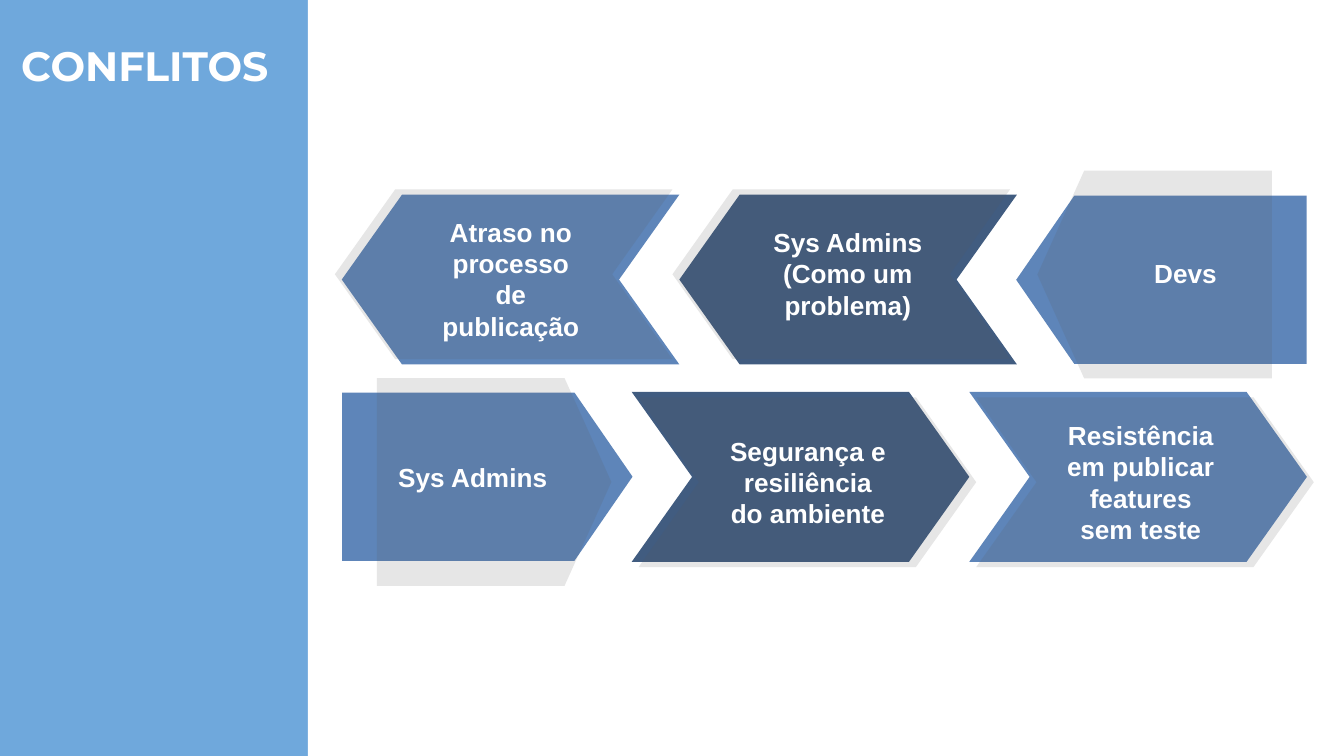
from lxml.etree import SubElement
from pptx import Presentation
from pptx.dml.color import RGBColor
from pptx.enum.shapes import MSO_SHAPE
from pptx.enum.text import MSO_ANCHOR, PP_ALIGN
from pptx.oxml.ns import qn
from pptx.util import Cm, Pt

SKY = RGBColor(0x6F, 0xA8, 0xDC)
WHITE = RGBColor(0xFF, 0xFF, 0xFF)
BLUE = RGBColor(0x5E, 0x85, 0xB9)
NAVY = RGBColor(0x41, 0x5C, 0x80)
GREY = RGBColor(0x59, 0x59, 0x59)

# Lengths in centimetres
MID_X, MID_Y = 15.58, 7.15  # the top row is the bottom row turned around this point
ARROW_W, ARROW_H, NOTCH = 6.38, 3.21, 1.14
START_X, START_Y = 9.21, 9.01  # centre of the first step of the bottom row
CHEVRON_X, CHEVRON_Y = 11.94, 7.41
VEIL_DX, VEIL_DY = 0.13, 0.1

presentation = Presentation()
presentation.slide_width, presentation.slide_height = Cm(25.4), Cm(14.29)
slide = presentation.slides.add_slide(presentation.slide_layouts[6])
slide.background.fill.solid()
slide.background.fill.fore_color.rgb = SKY


def paint(shape, color, alpha=100):
    shape.shadow.inherit = False
    shape.fill.solid()
    shape.fill.fore_color.rgb = color
    shape.line.fill.background()
    if alpha < 100:
        tint = shape.fill._xPr.find(qn("a:solidFill"))[0]
        SubElement(tint, qn("a:alpha"), val=str(alpha * 1000))


def write(text, left, top, width, height, size=14, font="Arial",
          align=PP_ALIGN.CENTER, anchor=MSO_ANCHOR.MIDDLE):
    frame = slide.shapes.add_textbox(Cm(left), Cm(top), Cm(width), Cm(height)).text_frame
    frame.word_wrap = True
    frame.vertical_anchor = anchor
    frame.margin_left = frame.margin_right = Cm(0.25)
    frame.margin_top = frame.margin_bottom = Cm(0.25)
    frame.text = text
    for paragraph in frame.paragraphs:
        paragraph.alignment = align
        paragraph.font.size = Pt(size)
        paragraph.font.name = font
        paragraph.font.bold = True
        paragraph.font.color.rgb = WHITE


# White panel beside the blue band
panel = slide.shapes.add_shape(MSO_SHAPE.RECTANGLE, Cm(5.82), 0, Cm(19.58), Cm(14.29))
paint(panel, WHITE)

# Each row: direction, then label, left, top and width of its texts
rows = [
    (1, [("Sys Admins", 7.26, 8.36, 3.35),
         ("Segurança e resiliência\ndo ambiente", 13.34, 8.46, 3.86),
         ("Resistência em publicar\nfeatures\nsem teste", 19.63, 8.46, 3.86)]),
    (-1, [("Devs", 20.73, 4.52, 3.35),
          ("Sys Admins\n(Como um problema)", 14.35, 4.52, 3.35),
          ("Atraso no processo de publicação", 7.98, 4.62, 3.35)]),
]

for turn, labels in rows:
    # Solid arrows first, then the translucent veil over them
    for shift, colors, alpha, start_w, start_h in [
        (0, (BLUE, NAVY, BLUE), 100, 5.49, 3.18),
        (1, (GREY, GREY, GREY), 15, 4.43, 3.93),
    ]:
        dx, dy = shift * VEIL_DX, shift * VEIL_DY

        # Starting step, an upright connector shape turned on its side
        x = MID_X + turn * (START_X + dx - MID_X)
        y = MID_Y + turn * (START_Y + dy - MID_Y)
        start = slide.shapes.add_shape(
            MSO_SHAPE.FLOWCHART_OFFPAGE_CONNECTOR,
            Cm(x - start_h / 2), Cm(y - start_w / 2), Cm(start_h), Cm(start_w))
        start.rotation = 270 if turn > 0 else 90
        paint(start, colors[0], alpha)

        # Two notched arrows that follow it
        for step in (1, 2):
            left = CHEVRON_X + (step - 1) * ARROW_W + dx
            top = CHEVRON_Y + dy
            outline = [(0, 0), (ARROW_W - NOTCH, 0), (ARROW_W, ARROW_H / 2),
                       (ARROW_W - NOTCH, ARROW_H), (0, ARROW_H), (NOTCH, ARROW_H / 2)]
            points = [(Cm(MID_X + turn * (left + px - MID_X)),
                       Cm(MID_Y + turn * (top + py - MID_Y))) for px, py in outline]
            builder = slide.shapes.build_freeform(*points[0])
            builder.add_line_segments(points[1:], close=True)
            paint(builder.convert_to_shape(), colors[step], alpha)

    for label, left, top, width in labels:
        write(label, left, top, width, 1.3)

# Title
write("CONFLITOS", 0.15, 0.51, 5.51, 3.99, size=22, font="Montserrat",
      align=PP_ALIGN.LEFT, anchor=MSO_ANCHOR.TOP)

presentation.save("out.pptx")
